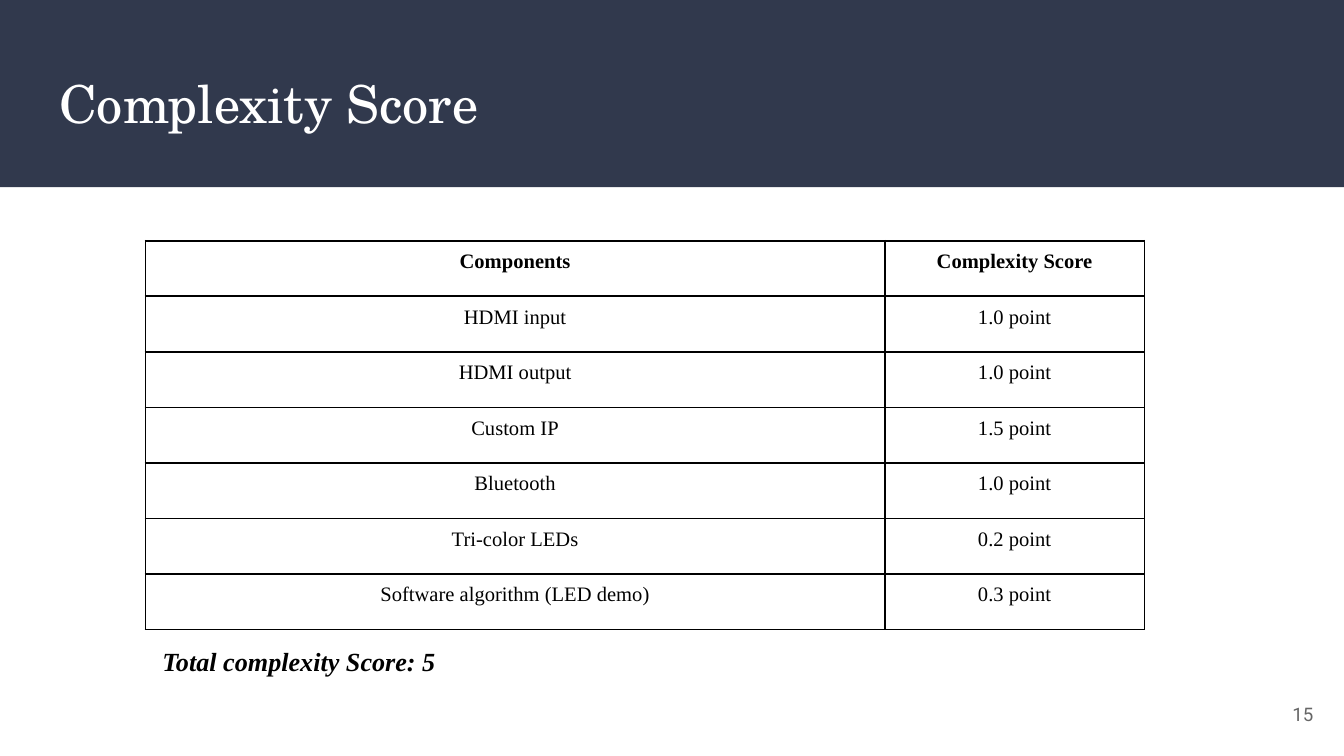
"""Build the complexity score slide: a title band, a score table and a total."""
import pptx
import pptx.dml.color
import pptx.enum.shapes
import pptx.enum.text
import pptx.oxml
import pptx.oxml.ns
import pptx.util
from pptx.util import Cm

TITLE = "Complexity Score"
ROWS = [
    ("Components", "Complexity Score"),
    ("HDMI input", "1.0 point"),
    ("HDMI output", "1.0 point"),
    ("Custom IP", "1.5 point"),
    ("Bluetooth", "1.0 point"),
    ("Tri-color LEDs", "0.2 point"),
    ("Software algorithm (LED demo)", "0.3 point"),
]
TOTAL = "Total complexity Score: 5"
PAGE_NUMBER = "15"

THEME = {
    "band": "31394D",
    "title": {"name": "TeX Gyre Schola", "size": 28, "color": "FFFFFF"},
    "cell": {"name": "Times New Roman", "size": 11, "color": "000000"},
    "total": {"name": "Times New Roman", "size": 14, "color": "000000"},
    "number": {"name": "Roboto", "size": 10, "color": "666666"},
    "border": {"color": "000000", "width": 1},
}

SLIDE_WIDTH, SLIDE_HEIGHT = Cm(25.4), Cm(14.29)
BAND_HEIGHT = Cm(3.54)
TITLE_BOX = (Cm(0.87), Cm(1.07), Cm(23.67), Cm(1.73))
TABLE_LEFT, TABLE_TOP = Cm(2.75), Cm(4.55)
COLUMN_WIDTHS = (Cm(13.97), Cm(4.91))
ROW_HEIGHT = Cm(1.05)
TOTAL_BOX = (Cm(2.82), Cm(11.86), Cm(19.18), Cm(2.01))
NUMBER_BOX = (Cm(23.55), Cm(12.95), Cm(1.52), Cm(1.09))
TEXT_INSET, CELL_INSET = Cm(0.25), Cm(0.18)

ALIGN = pptx.enum.text.PP_ALIGN
ANCHOR = pptx.enum.text.MSO_ANCHOR


def rgb(value):
    """Turn a hex string into a colour."""
    return pptx.dml.color.RGBColor.from_string(value)


def set_insets(target, inset):
    """Give a text frame or a cell the same margin on all sides."""
    target.margin_left = target.margin_right = inset
    target.margin_top = target.margin_bottom = inset


def write(text_frame, text, style, align, bold=False, italic=False):
    """Write one styled paragraph and return it."""
    paragraph = text_frame.paragraphs[0]
    paragraph.text = text
    paragraph.alignment = align
    font = paragraph.font
    font.name, font.size = style["name"], pptx.util.Pt(style["size"])
    font.bold, font.italic = bold, italic
    font.color.rgb = rgb(style["color"])
    return paragraph


def prepare_frame(shape, anchor):
    """Set wrapping, margins and anchor of a shape's text."""
    text_frame = shape.text_frame
    text_frame.word_wrap = True
    text_frame.auto_size = pptx.enum.text.MSO_AUTO_SIZE.NONE
    text_frame.vertical_anchor = anchor
    set_insets(text_frame, TEXT_INSET)
    return text_frame


def add_borders(cell):
    """Draw a solid line on each side of a cell."""
    border = THEME["border"]
    properties = cell._tc.get_or_add_tcPr()
    for position, side in enumerate(("lnL", "lnR", "lnT", "lnB")):
        line = pptx.oxml.parse_xml(
            f'<a:{side} {pptx.oxml.ns.nsdecls("a")} w="{pptx.util.Pt(border["width"])}">'
            f'<a:solidFill><a:srgbClr val="{border["color"]}"/></a:solidFill></a:{side}>'
        )
        properties.insert(position, line)


def add_title(slide):
    """Place the title on its dark band."""
    title = slide.shapes.title
    title.left, title.top, title.width, title.height = TITLE_BOX
    write(prepare_frame(title, ANCHOR.MIDDLE), TITLE, THEME["title"], ALIGN.LEFT)
    rectangle = pptx.enum.shapes.MSO_SHAPE.RECTANGLE
    band = slide.shapes.add_shape(rectangle, 0, 0, SLIDE_WIDTH, BAND_HEIGHT)
    band.shadow.inherit = False
    band.fill.solid()
    band.fill.fore_color.rgb = rgb(THEME["band"])
    band.line.fill.background()
    title.element.addprevious(band.element)


def add_score_table(slide):
    """Add the table of components and scores."""
    table = slide.shapes.add_table(
        len(ROWS), len(COLUMN_WIDTHS), TABLE_LEFT, TABLE_TOP,
        sum(COLUMN_WIDTHS), ROW_HEIGHT * len(ROWS),
    ).table
    table.horz_banding = False
    for column, width in zip(table.columns, COLUMN_WIDTHS):
        column.width = width
    for row_index, values in enumerate(ROWS):
        table.rows[row_index].height = ROW_HEIGHT
        for column_index, value in enumerate(values):
            cell = table.cell(row_index, column_index)
            cell.fill.background()
            cell.vertical_anchor = ANCHOR.TOP
            set_insets(cell, CELL_INSET)
            write(cell.text_frame, value, THEME["cell"], ALIGN.CENTER, bold=row_index == 0)
            add_borders(cell)


def main():
    """Build and save the presentation."""
    presentation = pptx.Presentation()
    presentation.slide_width, presentation.slide_height = SLIDE_WIDTH, SLIDE_HEIGHT
    slide = presentation.slides.add_slide(presentation.slide_layouts[5])
    add_title(slide)
    add_score_table(slide)
    total_frame = prepare_frame(slide.shapes.add_textbox(*TOTAL_BOX), ANCHOR.TOP)
    total = write(total_frame, TOTAL, THEME["total"], ALIGN.LEFT, bold=True, italic=True)
    total.line_spacing = 1.15
    number_frame = prepare_frame(slide.shapes.add_textbox(*NUMBER_BOX), ANCHOR.MIDDLE)
    write(number_frame, PAGE_NUMBER, THEME["number"], ALIGN.RIGHT)
    presentation.save("out.pptx")


if __name__ == "__main__":
    main()
